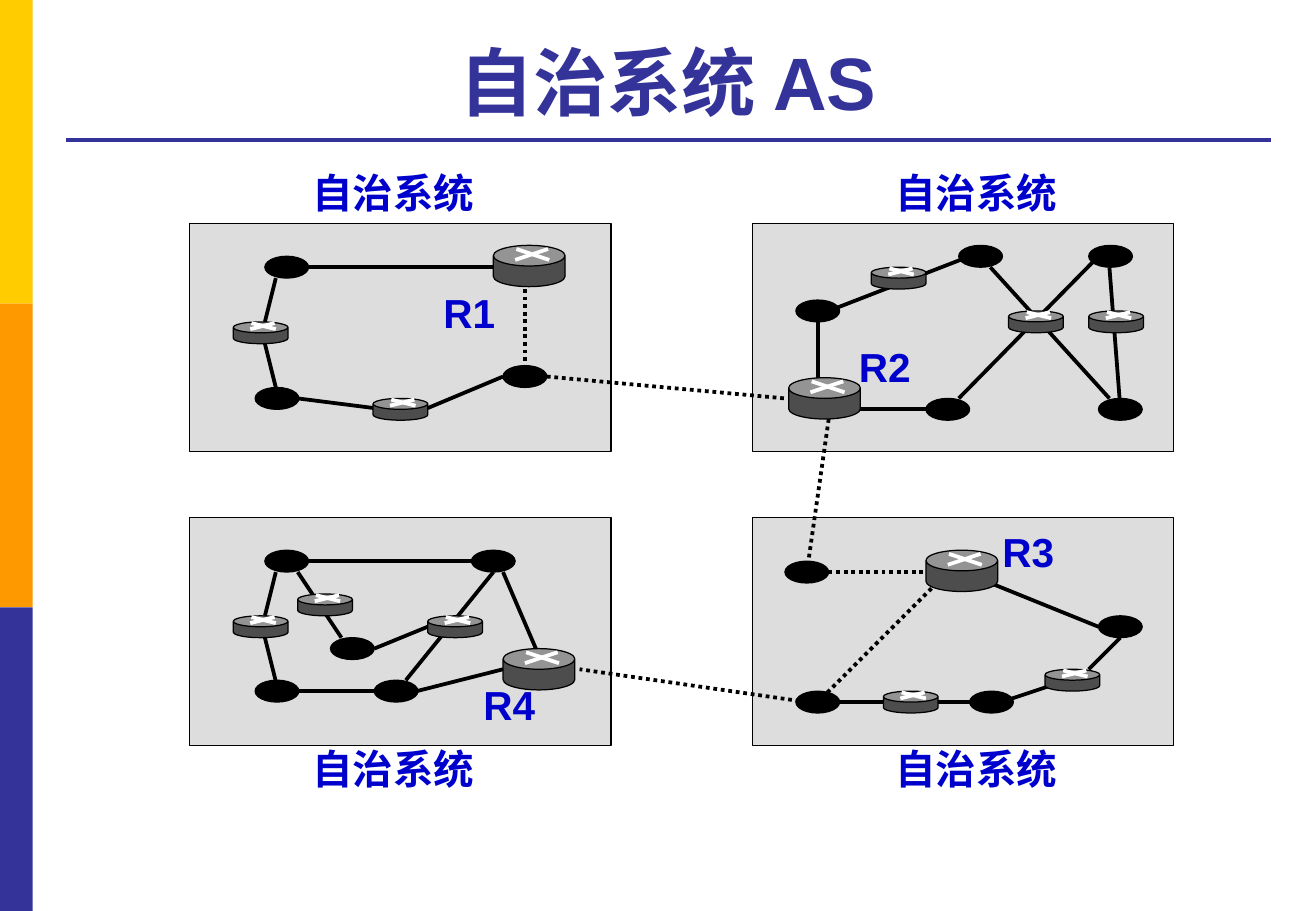
import pptx
import pptx.util
import pptx.dml.color
import pptx.enum.dml
import pptx.enum.shapes
import pptx.enum.text
import pptx.oxml.ns
import lxml.etree

px = 9144
hex_color = pptx.dml.color.RGBColor.from_string
kinds = pptx.enum.shapes.MSO_SHAPE

presentation = pptx.Presentation()
presentation.slide_width = 1083 * px
presentation.slide_height = 750 * px
slide = presentation.slides.add_slide(presentation.slide_layouts[5])


def draw_shape(kind, x, y, width, height, fill, outlined=True):
    shape = slide.shapes.add_shape(kind, x * px, y * px, width * px, height * px)
    shape.shadow.inherit = False
    shape.fill.solid()
    shape.fill.fore_color.rgb = hex_color(fill)
    if outlined:
        shape.line.color.rgb = hex_color("000000")
        shape.line.width = pptx.util.Pt(0.75)
    else:
        shape.line.fill.background()
    return shape


def draw_line(x1, y1, x2, y2, color, dotted=False):
    line = slide.shapes.add_connector(
        pptx.enum.shapes.MSO_CONNECTOR.STRAIGHT, x1 * px, y1 * px, x2 * px, y2 * px)
    line.line.color.rgb = hex_color(color)
    line.line.width = pptx.util.Pt(2.25)
    if dotted:
        line.line.dash_style = pptx.enum.dml.MSO_LINE.ROUND_DOT
    lxml.etree.SubElement(line._element.spPr, pptx.oxml.ns.qn("a:effectLst"))


for band, band_color in enumerate(("FFCC00", "FF9900", "333399")):
    draw_shape(kinds.RECTANGLE, 0, band * 250, 27, 250, band_color, outlined=False)
draw_line(54, 115, 1046, 115, "333399")

title = slide.shapes.title
title.left, title.top, title.width, title.height = 54 * px, 21 * px, 991 * px, 87 * px
title.text_frame.word_wrap = True
title.text_frame.auto_size = pptx.enum.text.MSO_AUTO_SIZE.NONE
title.text_frame.vertical_anchor = pptx.enum.text.MSO_ANCHOR.BOTTOM
heading = title.text_frame.paragraphs[0]
heading.alignment = pptx.enum.text.PP_ALIGN.CENTER
heading_run = heading.add_run()
heading_run.text = "自治系统 AS"
heading_run.font.name = "Arial"
heading_run.font.size = pptx.util.Pt(44)
heading_run.font.bold = True
heading_run.font.color.rgb = hex_color("333399")

labels = [("R1", 355, 232, 63), ("R2", 697, 277, 63), ("R3", 815, 429, 63), ("R4", 388, 555, 63)]
for system_x, label_x in ((156, 247), (619, 727)):
    for system_y, label_y in ((184, 133), (426, 608)):
        draw_shape(kinds.RECTANGLE, system_x, system_y, 347, 188, "DDDDDD")
        labels.append(("自治系统", label_x, label_y, 156))

links = [
    (254, 220, 406, 220), (227, 229, 218, 265), (218, 283, 227, 319),
    (245, 328, 308, 336), (352, 336, 414, 310),
    (815, 220, 913, 328), (798, 211, 682, 256), (913, 220, 922, 336),
    (708, 337, 771, 337), (789, 328, 904, 211), (673, 265, 673, 319),
    (254, 462, 406, 462), (227, 471, 218, 507), (218, 525, 227, 561),
    (245, 569, 308, 569), (343, 569, 414, 551), (245, 471, 281, 525),
    (308, 534, 352, 516), (406, 471, 334, 560), (414, 471, 441, 534),
    (691, 578, 798, 578), (824, 578, 878, 560), (896, 551, 922, 525),
    (815, 480, 904, 516),
]
border_links = [
    (432, 238, 432, 301), (450, 310, 646, 328), (682, 345, 664, 471),
    (682, 471, 762, 471), (771, 480, 673, 578), (664, 578, 477, 551),
]
for link in links:
    draw_line(*link, "000000")
for link in border_links:
    draw_line(*link, "000000", dotted=True)

networks = [
    (218, 211), (210, 319), (414, 301),
    (655, 247), (762, 328), (904, 328), (789, 202), (896, 202),
    (218, 453), (210, 560), (388, 453), (272, 525), (308, 560),
    (646, 462), (655, 569), (904, 507), (798, 569),
]
for x, y in networks:
    draw_shape(kinds.OVAL, x, y, 36, 18, "000000")

inner_routers = [
    (192, 265), (307, 328), (830, 256), (717, 220), (896, 256),
    (192, 507), (245, 489), (352, 507), (727, 569), (860, 551),
]
border_routers = [(406, 202), (649, 311), (762, 453), (414, 534)]
router_styles = [
    (inner_routers, 45, 18, ((15, 1, 35, 6), (34, 1, 14, 6))),
    (border_routers, 59, 34, ((19, 3, 46, 12), (45, 3, 18, 12))),
]
for routers, width, height, cross in router_styles:
    for x, y in routers:
        router = draw_shape(kinds.CAN, x, y, width, height, "4D4D4D")
        router.adjustments[0] = 0.5
        for x1, y1, x2, y2 in cross:
            draw_line(x + x1, y + y1, x + x2, y + y2, "FFFFFF")

for text, x, y, width in labels:
    label = slide.shapes.add_textbox(x * px, y * px, width * px, 51 * px).text_frame
    label.word_wrap = False
    label.auto_size = pptx.enum.text.MSO_AUTO_SIZE.SHAPE_TO_FIT_TEXT
    run = label.paragraphs[0].add_run()
    run.text = text
    run.font.name = "Arial"
    run.font.size = pptx.util.Pt(24)
    run.font.bold = True
    run.font.color.rgb = hex_color("0000CC")

presentation.save("out.pptx")
